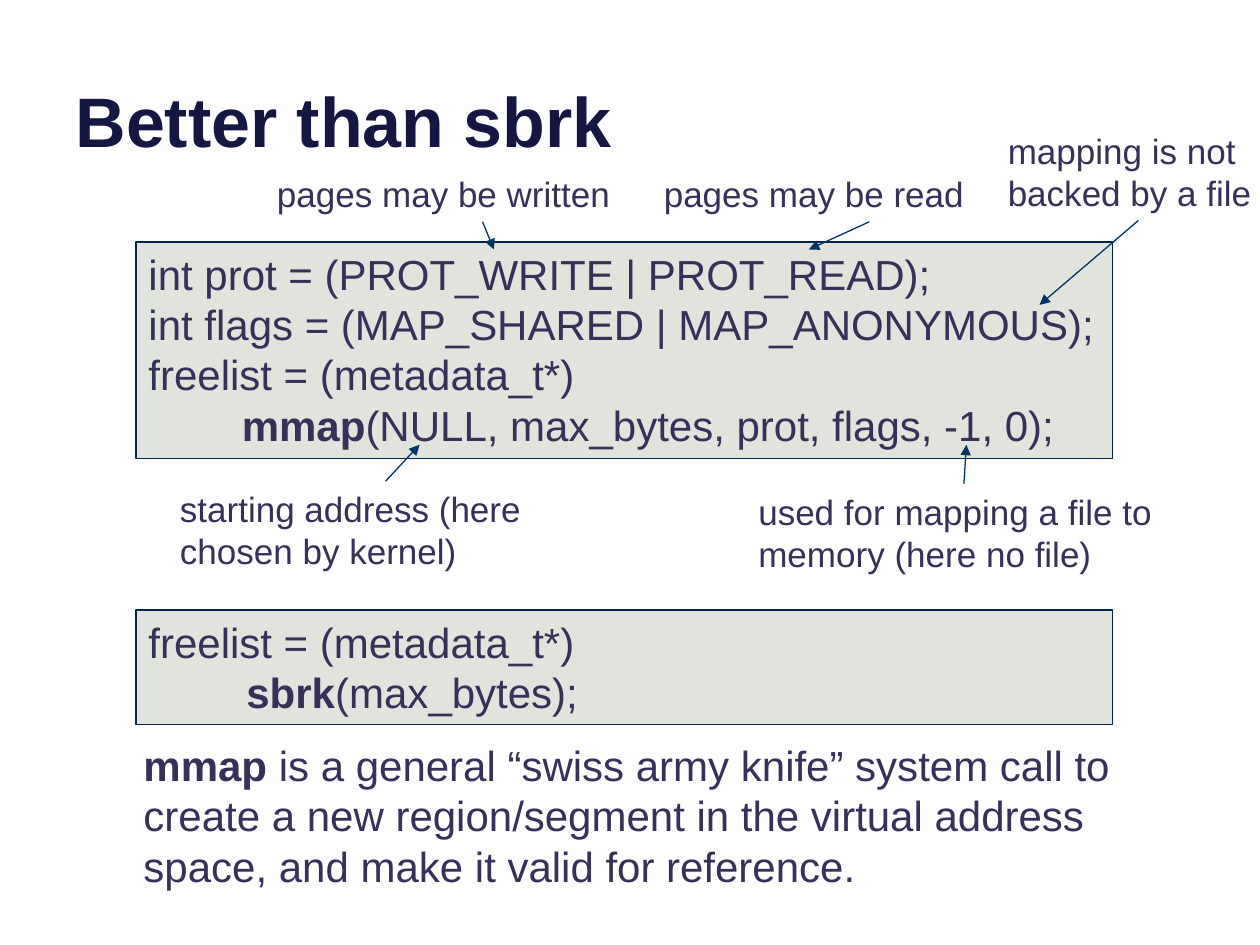
import dataclasses

import pptx
import pptx.dml.color
import pptx.enum.shapes
import pptx.enum.text
import pptx.oxml
import pptx.oxml.ns
import pptx.util
from pptx.util import Inches

BOTTOM, TOP = 2, 0


def rgb(value):
    return pptx.dml.color.RGBColor.from_string(value)


@dataclasses.dataclass(frozen=True)
class Theme:
    font: str = "Arial"
    title_color: str = "161645"
    text_color: str = "37305A"
    code_fill: str = "E0E4DC"
    code_line: str = "00264D"
    arrow_color: str = "003367"
    title_size: int = 40
    text_size: int = 24
    label_size: int = 20
    line_width: float = 0.75


class SlideBuilder:
    def __init__(self, slide, theme):
        self.slide = slide
        self.theme = theme

    def apply(self, target, values):
        for name, value in values.items():
            setattr(target, name, value)

    def fill_text(self, shape, lines, size, color):
        frame = shape.text_frame
        for index, line in enumerate(lines):
            paragraph = frame.paragraphs[0] if index == 0 else frame.add_paragraph()
            paragraph.alignment = pptx.enum.text.PP_ALIGN.LEFT
            for text, bold in line:
                run = paragraph.add_run()
                run.text = text
                self.apply(run.font, {
                    "name": self.theme.font,
                    "size": pptx.util.Pt(size),
                    "bold": bold,
                })
                run.font.color.rgb = rgb(color)

    def title(self, text, *bounds):
        shape = self.slide.shapes.title
        self.apply(shape, dict(zip(("left", "top", "width", "height"), map(Inches, bounds))))
        self.apply(shape.text_frame, {
            "vertical_anchor": pptx.enum.text.MSO_ANCHOR.BOTTOM,
            "word_wrap": True,
        })
        self.fill_text(shape, [[(text, True)]], self.theme.title_size, self.theme.title_color)

    def text(self, lines, size, *bounds):
        shape = self.slide.shapes.add_textbox(*map(Inches, bounds))
        shape.text_frame.word_wrap = True
        self.fill_text(shape, lines, size, self.theme.text_color)
        return shape

    def code(self, lines, *bounds):
        shape = self.slide.shapes.add_shape(
            pptx.enum.shapes.MSO_SHAPE.RECTANGLE, *map(Inches, bounds))
        shape.shadow.inherit = False
        shape.fill.solid()
        shape.fill.fore_color.rgb = rgb(self.theme.code_fill)
        shape.line.color.rgb = rgb(self.theme.code_line)
        shape.line.width = pptx.util.Pt(self.theme.line_width)
        self.apply(shape.text_frame, {
            "vertical_anchor": pptx.enum.text.MSO_ANCHOR.TOP,
            "word_wrap": True,
        })
        self.fill_text(shape, lines, self.theme.text_size, self.theme.text_color)
        return shape

    def tab_stop(self, paragraph, position):
        properties = paragraph._p.get_or_add_pPr()
        tabs = pptx.oxml.parse_xml(
            f'<a:tabLst {pptx.oxml.ns.nsdecls("a")}>'
            f'<a:tab pos="{Inches(position)}" algn="l"/></a:tabLst>')
        properties.append(tabs)

    def callout(self, text, bounds, side, target):
        label = self.text([[(text, False)]], self.theme.label_size, *bounds)
        end = [Inches(value) for value in target]
        arrow = self.slide.shapes.add_connector(
            pptx.enum.shapes.MSO_CONNECTOR.STRAIGHT, label.left, label.top, *end)
        arrow.begin_connect(label, side)
        arrow.line.color.rgb = rgb(self.theme.arrow_color)
        arrow.line.width = pptx.util.Pt(self.theme.line_width)
        namespace = pptx.oxml.ns.nsdecls("a")
        arrow.line._get_or_add_ln().append(
            pptx.oxml.parse_xml(f'<a:tailEnd {namespace} type="triangle"/>'))
        arrow._element.spPr.append(pptx.oxml.parse_xml(f"<a:effectLst {namespace}/>"))


def main():
    presentation = pptx.Presentation()
    presentation.slide_width = Inches(10)
    presentation.slide_height = Inches(7.5)
    slide = presentation.slides.add_slide(presentation.slide_layouts[5])
    theme = Theme()
    builder = SlideBuilder(slide, theme)

    builder.title("Better than sbrk", 0.5, -0.37, 9, 1.7)

    code_left, code_width = 1.08, 7.75
    builder.code([
        [("int prot = (PROT_WRITE | PROT_READ);", False)],
        [("int flags = (MAP_SHARED | MAP_ANONYMOUS);", False)],
        [("freelist = (metadata_t*)", False)],
        [("        ", False), ("mmap", True),
         ("(NULL, max_bytes, prot, flags, -1, 0);", False)],
    ], code_left, 1.92, code_width, 1.72)
    sbrk_code = builder.code([
        [("freelist = (metadata_t*)", False)],
        [("\t   sbrk", True), ("(max_bytes);", False)],
    ], code_left, 4.84, code_width, 0.91)
    builder.tab_stop(sbrk_code.text_frame.paragraphs[1], 0.5)

    builder.text([[
        ("mmap", True),
        (" is a general “swiss army knife” system call to create a new region/segment "
         "in the virtual address space, and make it valid for reference.", False),
    ]], theme.text_size, 1.04, 5.82, 7.92, 1.31)

    label_width, one_line, two_lines = 3.46, 0.44, 0.77
    callouts = [
        ("pages may be written", (2.1, 1.32, label_width, one_line), BOTTOM, (3.92, 1.98)),
        ("pages may be read", (5.17, 1.32, label_width, one_line), BOTTOM, (6.42, 1.98)),
        ("starting address (here chosen by kernel)",
         (1.33, 3.82, label_width, two_lines), TOP, (3.33, 3.53)),
        ("used for mapping a file to memory (here no file)",
         (5.92, 3.84, label_width, two_lines), TOP, (7.67, 3.53)),
        ("mapping is not backed by a file",
         (7.9, 0.98, 2.27, two_lines), BOTTOM, (8.25, 2.42)),
    ]
    for callout in callouts:
        builder.callout(*callout)

    presentation.save("out.pptx")


if __name__ == "__main__":
    main()
